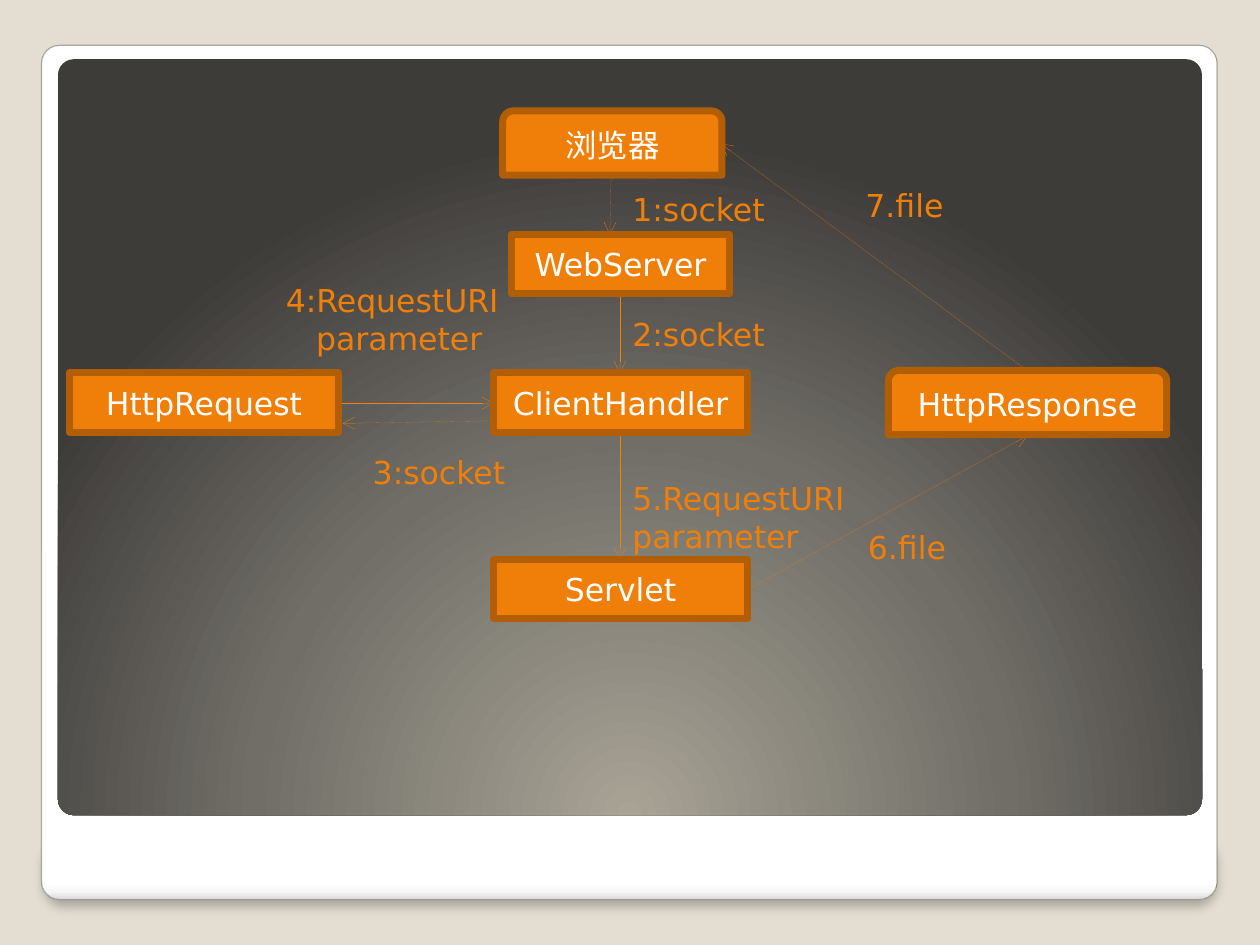
from dataclasses import dataclass

from lxml.etree import SubElement
from pptx import Presentation
from pptx.dml.color import RGBColor
from pptx.enum.shapes import MSO_CONNECTOR, MSO_SHAPE
from pptx.enum.text import MSO_ANCHOR, PP_ALIGN
from pptx.oxml.ns import qn
from pptx.util import Inches, Pt


@dataclass(frozen=True)
class Theme:
    background: str = "E3DED1"
    frame_line: str = "302F2C"
    accent: str = "F07F09"
    border: str = "B25E07"
    arrow: str = "F97F00"
    node_text: str = "FFFFFF"
    font: str = "DejaVu Sans"
    size: int = 18
    frame_stops: tuple = ((0, "FFFFFF"), (98, "FFFFFF"), (99, "F7F7F7"), (100, "DADADA"))
    panel_stops: tuple = ((0, "A8A395"), (55, "716E68"), (100, "3E3C39"))


THEME = Theme()

# name, preset, left, top, width, height within the diagram
NODES = [
    ("浏览器", MSO_SHAPE.ROUND_2_SAME_RECTANGLE, 3.53, 0.41, 1.74, 0.51),
    ("WebServer", MSO_SHAPE.RECTANGLE, 3.6, 1.39, 1.73, 0.47),
    ("ClientHandler", MSO_SHAPE.RECTANGLE, 3.46, 2.49, 2.01, 0.47),
    ("HttpRequest", MSO_SHAPE.RECTANGLE, 0.09, 2.49, 2.14, 0.47),
    ("HttpResponse", MSO_SHAPE.ROUND_2_SAME_RECTANGLE, 6.59, 2.47, 2.21, 0.51),
    ("Servlet", MSO_SHAPE.RECTANGLE, 3.46, 3.97, 2.01, 0.47),
]
# start x, start y, end x, end y
ARROWS = [
    (4.39, 0.92, 4.38, 1.39),
    (4.46, 1.86, 4.46, 2.49),
    (3.46, 2.87, 2.26, 2.89),
    (2.23, 2.73, 3.46, 2.73),
    (4.46, 2.96, 4.46, 3.97),
    (5.47, 4.21, 7.69, 2.99),
    (7.69, 2.47, 5.26, 0.67),
]
# lines, left, top, width, height, indent of the second line
LABELS = [
    (["1:socket"], 4.46, 0.99, 1.39, 0.4, 0),
    (["2:socket"], 4.46, 1.98, 1.39, 0.4, 0),
    (["3:socket"], 2.4, 3.08, 1.39, 0.4, 0),
    (["4:RequestURI", "parameter"], 1.71, 1.71, 2.28, 0.71, 0.24),
    (["5.RequestURI", "parameter"], 4.46, 3.28, 1.94, 0.71, 0),
    (["6.file"], 6.33, 3.67, 1.39, 0.4, 0),
    (["7.file"], 6.31, 0.96, 1.39, 0.4, 0),
]


def rgb(color):
    return RGBColor.from_string(color)


def add(parent, tag, **attrs):
    return SubElement(parent, qn(tag), {k: str(v) for k, v in attrs.items()})


def place(box, left, top, width, height):
    """Lengths of a part whose corner is given relative to the box."""
    return [Inches(v) for v in (box[0] + left, box[1] + top, width, height)]


def set_gradient(s, stops, center=None):
    """Gradient down the shape, or round the center rectangle if there is one."""
    s.fill.background()
    no_fill = s._element.spPr.find(qn("a:noFill"))
    grad = add(s._element.spPr, "a:gradFill", rotWithShape=1)
    no_fill.getparent().replace(no_fill, grad)
    stop_list = add(grad, "a:gsLst")
    for position, color in stops:
        add(add(stop_list, "a:gs", pos=position * 1000), "a:srgbClr", val=color)
    if center:
        add(add(grad, "a:path", path="circle"), "a:fillToRect", **center)
    else:
        add(grad, "a:lin", ang=5400000, scaled=0)


def add_shadow(s):
    effects = s._element.spPr.find(qn("a:effectLst"))
    shadow = add(effects, "a:outerShdw", blurRad=Pt(6), dist=Pt(4), dir=5400000,
                 algn="t", rotWithShape=0)
    add(add(shadow, "a:srgbClr", val="000000"), "a:alpha", val=25000)


def write(p, text, color):
    r = p.add_run()
    r.text = text
    r.font.color.rgb = rgb(color)
    for key, value in {"name": THEME.font, "size": Pt(THEME.size)}.items():
        setattr(r.font, key, value)


def draw_frame(slide, box):
    """Raised white card with a dark panel inside."""
    _, _, width, height = box
    parts = [
        ((0.02, 6.27, 9.3, 0.5), 0.333, True),
        ((0, 0, width, height), 0.021, True),
        ((0.13, 0.11, 9.08, 6), 0.021, False),
    ]
    for index, (area, radius, is_card) in enumerate(parts):
        s = slide.shapes.add_shape(MSO_SHAPE.ROUNDED_RECTANGLE, *place(box, *area))
        s.adjustments[0] = radius
        s.shadow.inherit = False
        if is_card:
            set_gradient(s, THEME.frame_stops)
            s.line.color.rgb = rgb(THEME.frame_line)
            s.line.width = Pt(0.67)
            color = s.line._ln.find(qn("a:solidFill")).find(qn("a:srgbClr"))
            add(color, "a:alpha", val=37000)
        else:
            set_gradient(s, THEME.panel_stops,
                         {"l": 100000, "t": 350000, "r": 100000, "b": 100000})
            s.line.fill.background()
        if index == 0:
            add_shadow(s)


def draw_node(slide, box, name, preset, *area):
    s = slide.shapes.add_shape(preset, *place(box, *area))
    s.shadow.inherit = False
    s.fill.solid()
    s.fill.fore_color.rgb = rgb(THEME.accent)
    s.line.color.rgb = rgb(THEME.border)
    s.line.width = Pt(4)
    tf = s.text_frame
    tf.vertical_anchor = MSO_ANCHOR.MIDDLE
    p = tf.paragraphs[0]
    p.alignment = PP_ALIGN.CENTER
    write(p, name, THEME.node_text)


def draw_arrow(slide, box, x1, y1, x2, y2):
    start, end = place(box, x1, y1, 0, 0)[:2], place(box, x2, y2, 0, 0)[:2]
    c = slide.shapes.add_connector(MSO_CONNECTOR.STRAIGHT, *start, *end)
    c.line.color.rgb = rgb(THEME.arrow)
    c.line.width = Pt(0.04)
    add(c.line._ln, "a:tailEnd", type="arrow")
    add(c._element.spPr, "a:effectLst")


def draw_label(slide, box, lines, left, top, width, height, indent):
    tf = slide.shapes.add_textbox(*place(box, left, top, width, height)).text_frame
    tf.word_wrap = True
    for i, line in enumerate(lines):
        p = tf.add_paragraph() if i else tf.paragraphs[0]
        if i and indent:
            p._p.get_or_add_pPr().set("marL", str(Inches(indent)))
        write(p, line, THEME.accent)


def draw_request_flow(slide, box):
    for draw, items in ((draw_arrow, ARROWS), (draw_node, NODES), (draw_label, LABELS)):
        for item in items:
            draw(slide, box, *item)


def main():
    prs = Presentation()
    prs.slide_width, prs.slide_height = Inches(10), Inches(7.5)
    slide = prs.slides.add_slide(prs.slide_layouts[6])
    slide.background.fill.solid()
    slide.background.fill.fore_color.rgb = rgb(THEME.background)
    draw_frame(slide, (0.33, 0.36, 9.33, 6.78))
    draw_request_flow(slide, (0.46, 0.47))
    prs.save("out.pptx")


if __name__ == "__main__":
    main()
